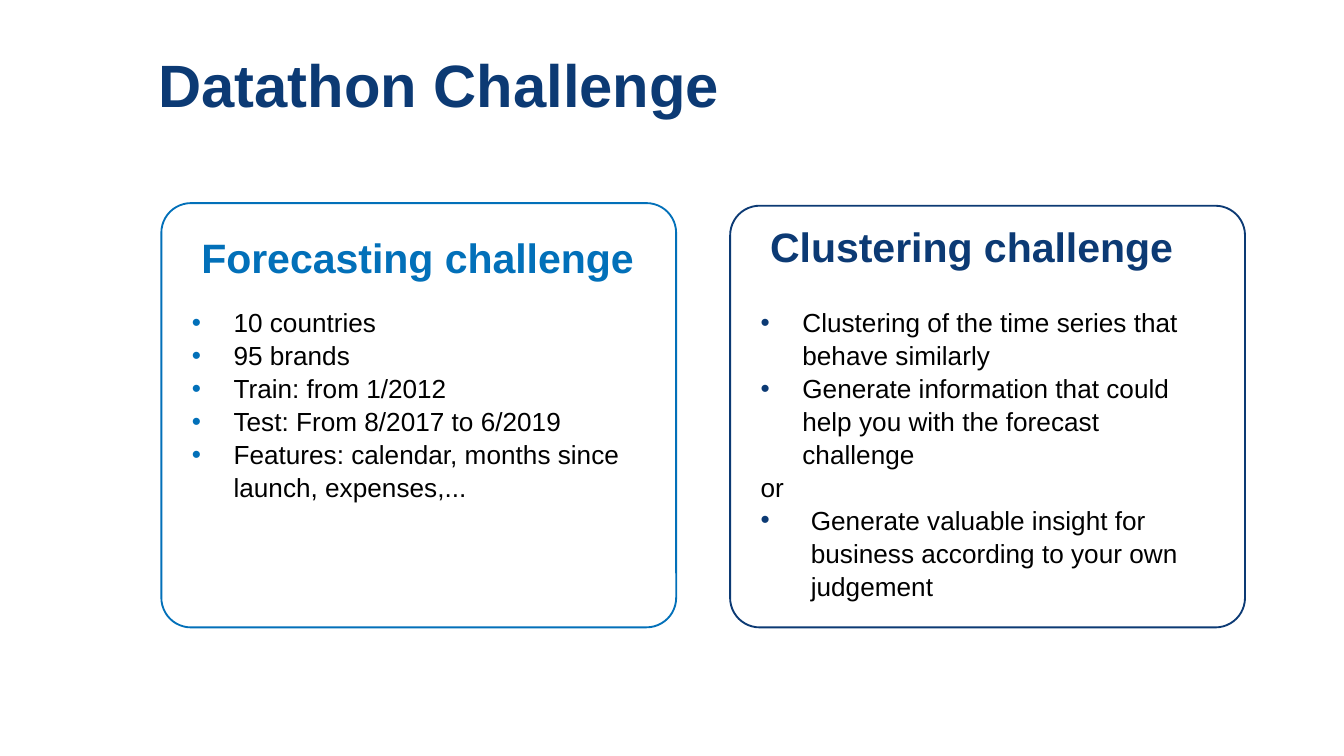
from lxml import etree
from pptx import Presentation
from pptx.dml.color import RGBColor
from pptx.enum import shapes, text
from pptx.oxml import ns
from pptx.util import Cm, Pt

HUES = {"blue": "0270B9", "navy": "0C3A74", "ink": "000000"}

# Each list item: words, hanging indent in cm (0 means no bullet)
CARDS = [
    {"left": 3.05, "top": 3.84, "hue": "blue", "head": "Forecasting challenge",
     "head_top": 4.22, "high": 3.84,
     "items": [("10 countries", 0.79),
               ("95 brands", 0.79),
               ("Train: from 1/2012", 0.79),
               ("Test: From 8/2017 to 6/2019", 0.79),
               ("Features: calendar, months since launch, expenses,...", 0.79)]},
    {"left": 13.8, "top": 3.89, "hue": "navy", "head": "Clustering challenge",
     "head_top": 4.01, "high": 5.64,
     "items": [("Clustering of the time series that behave similarly", 0.79),
               ("Generate information that could help you with the forecast challenge", 0.79),
               ("or", 0),
               ("Generate valuable insight for business according to your own judgement", 0.95)]},
]
BASE = 11.86
LIST_TOP = 5.64


def tint(name):
    return RGBColor.from_string(HUES[name])


def place(holder, left, top, width, height, anchor):
    """Move a placeholder and return its text frame."""
    holder.left, holder.top = Cm(left), Cm(top)
    holder.width, holder.height = Cm(width), Cm(height)
    frame = holder.text_frame
    frame.word_wrap = True
    frame.auto_size = text.MSO_AUTO_SIZE.NONE
    frame.vertical_anchor = anchor
    return frame


def style(para, size, hue, bold=False, pitch=1.0):
    para.alignment = text.PP_ALIGN.LEFT
    para.line_spacing = pitch
    para.space_before = Pt(0)
    font = para.font
    font.name, font.size, font.bold = "Arial", Pt(size), bold
    font.color.rgb = tint(hue)


def bullet(para, indent, hue):
    """Hang the paragraph on a coloured dot, or set it flush if indent is 0."""
    props = para._p.get_or_add_pPr()
    props.set("marL", str(Cm(indent)))
    props.set("indent", str(-Cm(indent)))
    if not indent:
        etree.SubElement(props, ns.qn("a:buNone"))
        return
    color = etree.SubElement(props, ns.qn("a:buClr"))
    etree.SubElement(color, ns.qn("a:srgbClr"), val=HUES[hue])
    etree.SubElement(props, ns.qn("a:buFont"), typeface="Arial")
    etree.SubElement(props, ns.qn("a:buChar"), char="•")


def add_card(slide, card):
    height = BASE - card["top"]
    box = slide.shapes.add_shape(
        shapes.MSO_SHAPE.ROUNDED_RECTANGLE,
        Cm(card["left"]), Cm(card["top"]), Cm(9.73), Cm(height))
    box.adjustments[0] = 0.07
    box.shadow.inherit = False
    box.fill.background()
    box.line.color.rgb = tint(card["hue"])
    box.line.width = Pt(1)


def fill_head(holder, card):
    frame = place(holder, card["left"] + 0.5, card["head_top"], 8.73, 1.19,
                  text.MSO_ANCHOR.TOP)
    frame.text = card["head"]
    style(frame.paragraphs[0], 22, card["hue"], bold=True, pitch=1.05)


def fill_list(holder, card):
    frame = place(holder, card["left"] + 0.32, LIST_TOP, 9.09, card["high"],
                  text.MSO_ANCHOR.TOP)
    frame.text = "\n".join(words for words, _ in card["items"])
    for para, (_, indent) in zip(frame.paragraphs, card["items"]):
        bullet(para, indent, card["hue"])
        style(para, 14, "ink", pitch=1.05)


def main():
    deck = Presentation()
    deck.slide_width, deck.slide_height = Cm(25.4), Cm(14.29)
    slide = deck.slides.add_slide(deck.slide_layouts.get_by_name("Comparison"))
    title, *bodies = slide.placeholders

    frame = place(title, 2.74, 0.28, 16.03, 2.77, text.MSO_ANCHOR.MIDDLE)
    frame.text = "Datathon Challenge"
    style(frame.paragraphs[0], 32, "navy", bold=True, pitch=0.9)

    for card, head, body in zip(CARDS, bodies[::2], bodies[1::2]):
        add_card(slide, card)
        fill_head(head, card)
        fill_list(body, card)
    deck.save("out.pptx")


if __name__ == "__main__":
    main()
